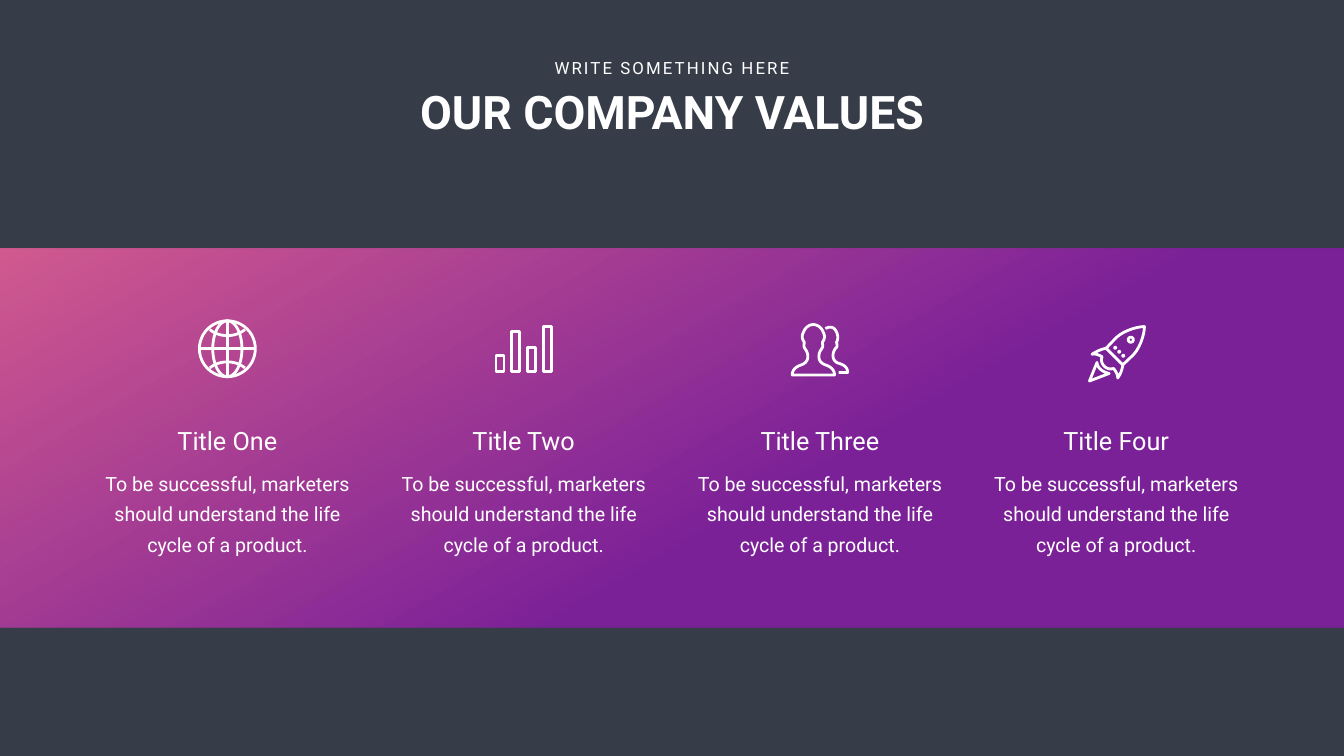
"""Build the company values slide: a heading above a gradient band of four values."""
import math

import lxml.etree
import pptx
import pptx.dml.color
import pptx.enum.shapes
import pptx.enum.text
import pptx.oxml.ns
import pptx.util

Inches = pptx.util.Inches
Pt = pptx.util.Pt

COLORS = {"background": "363D48", "pink": "F761A0", "purple": "8C1BAB", "white": "FFFFFF"}
SLIDE_SIZE = (26.66, 15)
FIRST_CENTER = 4.51
COLUMN_PITCH = 5.877
ICON_SIZE = 1.16
BODY = "To be successful, marketers should understand the life cycle of a product."
HEADING_FORMAT = {"size": Pt(66), "bold": True}
KICKER_FORMAT = {"size": Pt(24)}
VALUE_TITLE_FORMAT = {"size": Pt(36)}
VALUE_BODY_FORMAT = {"size": Pt(28)}


def rgb(name):
    """Return the named colour."""
    return pptx.dml.color.RGBColor.from_string(COLORS[name])


def ellipse(cx, cy, rx, ry):
    """Return the points of a closed ellipse."""
    turns = [math.tau * step / 48 for step in range(49)]
    return [(cx + rx * math.cos(turn), cy + ry * math.sin(turn)) for turn in turns]


def curve(start, *pieces):
    """Return points along joined cubic pieces; a one-point piece is a straight line."""
    points = [start]
    for piece in pieces:
        if len(piece) == 1:
            points.append(piece[0])
            continue
        controls = (points[-1], *piece)
        for step in range(1, 13):
            t = step / 12
            weights = ((1 - t) ** 3, 3 * t * (1 - t) ** 2, 3 * t * t * (1 - t), t ** 3)
            points.append(tuple(sum(w * c[axis] for w, c in zip(weights, controls))
                                for axis in (0, 1)))
    return points


def globe_strokes():
    """Return the outline, meridians and parallels of the globe."""
    middle, radius = 0.58, 0.555
    parallels = [curve((0.23, edge), ((0.43, bend), (0.73, bend), (0.93, edge)))
                 for edge, bend in ((0.2, 0.36), (0.96, 0.8))]
    return [ellipse(middle, middle, radius, radius), ellipse(middle, middle, 0.29, radius),
            [(middle, 0.03), (middle, 1.13)], [(0.03, middle), (1.13, middle)], *parallels]


def bar_strokes():
    """Return the four outlined bars."""
    strokes = []
    for index, top in enumerate((0.61, 0.13, 0.45, 0.03)):
        left = 0.03 + 0.315 * index
        right = left + 0.16
        strokes.append([(left, top), (right, top), (right, 0.92), (left, 0.92), (left, top)])
    return strokes


def people_strokes():
    """Return a symmetric front person and the visible edge of the one behind."""
    half = curve((0.03, 1.03), ((0.03, 0.92), (0.12, 0.86), (0.21, 0.83)),
                 ((0.27, 0.81), (0.34, 0.76), (0.34, 0.67)),
                 ((0.34, 0.57), (0.3, 0.54), (0.28, 0.5)),
                 ((0.25, 0.46), (0.27, 0.42), (0.27, 0.38)),
                 ((0.22, 0.31), (0.22, 0.25), (0.25, 0.19)),
                 ((0.28, 0.1), (0.36, 0.03), (0.45, 0.03)))
    front = half + [(0.9 - x, y) for x, y in reversed(half)] + half[:1]
    back = curve((0.69, 0.11), ((0.74, 0.08), (0.8, 0.07), (0.85, 0.1)),
                 ((0.91, 0.14), (0.97, 0.28), (0.91, 0.38)),
                 ((0.93, 0.46), (0.92, 0.48), (0.89, 0.5)),
                 ((0.87, 0.53), (0.84, 0.58), (0.84, 0.65)),
                 ((0.84, 0.74), (0.91, 0.79), (0.96, 0.8)),
                 ((1.05, 0.83), (1.13, 0.87), (1.13, 0.98)), ((0.95, 0.98),))
    return [front, back]


def rocket_strokes():
    """Return the hull, fins, flame, window and rivets of the rocket."""
    side = curve((1.14, 0.03), ((1, 0.03), (0.72, 0.11), (0.57, 0.26)), ((0.38, 0.46),))
    hull = side + [(1.17 - y, 1.17 - x) for x, y in reversed(side)]
    fins = curve((0.38, 0.46), ((0.27, 0.48), (0.18, 0.53), (0.1, 0.58)),
                 ((0.17, 0.56), (0.25, 0.6), (0.3, 0.63)),
                 ((0.27, 0.71), (0.3, 0.78), (0.36, 0.83)),
                 ((0.41, 0.87), (0.47, 0.88), (0.53, 0.86)),
                 ((0.57, 0.92), (0.61, 0.97), (0.61, 1.05)),
                 ((0.66, 0.98), (0.7, 0.89), (0.71, 0.79)))
    flame = curve((0.2, 0.74), ((0.05, 1.11),), ((0.44, 0.96),),
                  ((0.3, 0.93), (0.2, 0.84), (0.2, 0.74)))
    rivets = [ellipse(0.56 + 0.08 * i, 0.45 + 0.08 * i, 0.01, 0.01) for i in range(3)]
    return [hull, fins, flame, ellipse(0.87, 0.29, 0.05, 0.05), *rivets]


def add_icon(slide, left, top, strokes):
    """Draw all strokes of an icon as one white outline."""
    outlines = [[(Inches(x), Inches(y)) for x, y in stroke] for stroke in strokes]
    builder = slide.shapes.build_freeform(*outlines[0][0], scale=1.0)
    for index, outline in enumerate(outlines):
        if index:
            builder.move_to(*outline[0])
        builder.add_line_segments(outline[1:], close=outline[0] == outline[-1])
    icon = builder.convert_to_shape(Inches(left), Inches(top))
    icon.shadow.inherit = False
    icon.fill.background()
    icon.line.color.rgb = rgb("white")
    icon.line.width = Pt(4)


def add_band(slide):
    """Draw the translucent gradient band across the slide."""
    band = slide.shapes.add_shape(pptx.enum.shapes.MSO_SHAPE.RECTANGLE, 0, Inches(4.93),
                                  Inches(SLIDE_SIZE[0]), Inches(7.53))
    band.shadow.inherit = False
    band.line.fill.background()
    band.fill.gradient()
    band.fill.gradient_angle = 300
    for stop, name, position in zip(band.fill.gradient_stops, ("pink", "purple"), (0, 0.6)):
        stop.color.rgb = rgb(name)
        stop.position = position
    for color in band.fill._xPr.iter(pptx.oxml.ns.qn("a:srgbClr")):
        lxml.etree.SubElement(color, pptx.oxml.ns.qn("a:alpha"), val="80000")


def write(box, text, font_format, line_spacing=None, wrap=True):
    """Put one centred white paragraph into a text-holding shape."""
    frame = box.text_frame
    frame_format = {"text": text, "word_wrap": wrap,
                    "auto_size": pptx.enum.text.MSO_AUTO_SIZE.NONE,
                    "vertical_anchor": pptx.enum.text.MSO_ANCHOR.TOP}
    for name, value in frame_format.items():
        setattr(frame, name, value)
    paragraph = frame.paragraphs[0]
    paragraph.alignment = pptx.enum.text.PP_ALIGN.CENTER
    paragraph.line_spacing = line_spacing
    run = paragraph.runs[0]
    for name, value in {"name": "Roboto", **font_format}.items():
        setattr(run.font, name, value)
    run.font.color.rgb = rgb("white")
    return run


def add_text(slide, place, *content, **options):
    """Add a text box and return its run."""
    return write(slide.shapes.add_textbox(*map(Inches, place)), *content, **options)


def add_heading(slide):
    """Fill the title placeholder and add the spaced line above it."""
    heading = slide.shapes.title
    place = {"left": 7.61, "top": 1.61, "width": 11.44, "height": 1.21}
    for name, value in place.items():
        setattr(heading, name, Inches(value))
    write(heading, "OUR COMPANY VALUES", HEADING_FORMAT)
    kicker = add_text(slide, (10.83, 1.1, 5, 0.5), "WRITE SOMETHING HERE", KICKER_FORMAT,
                      wrap=False)
    kicker.font._element.set("spc", "300")


def add_value(slide, center, title, icon_top, strokes):
    """Add one column with its icon, title and description."""
    add_icon(slide, center - ICON_SIZE / 2, icon_top, strokes)
    add_text(slide, (center - 2.095, 8.38, 4.19, 0.71), title, VALUE_TITLE_FORMAT)
    add_text(slide, (center - 2.74, 9.19, 5.48, 1.86), BODY, VALUE_BODY_FORMAT,
             line_spacing=Pt(43))


def main():
    """Build and save the slide."""
    deck = pptx.Presentation()
    deck.slide_width, deck.slide_height = map(Inches, SLIDE_SIZE)
    slide = deck.slides.add_slide(deck.slide_layouts[5])
    slide.background.fill.solid()
    slide.background.fill.fore_color.rgb = rgb("background")
    add_band(slide)
    add_heading(slide)
    values = [("Title One", 6.34, globe_strokes()), ("Title Two", 6.45, bar_strokes()),
              ("Title Three", 6.41, people_strokes()), ("Title Four", 6.45, rocket_strokes())]
    for column, value in enumerate(values):
        add_value(slide, FIRST_CENTER + column * COLUMN_PITCH, *value)
    deck.save("out.pptx")


if __name__ == "__main__":
    main()
